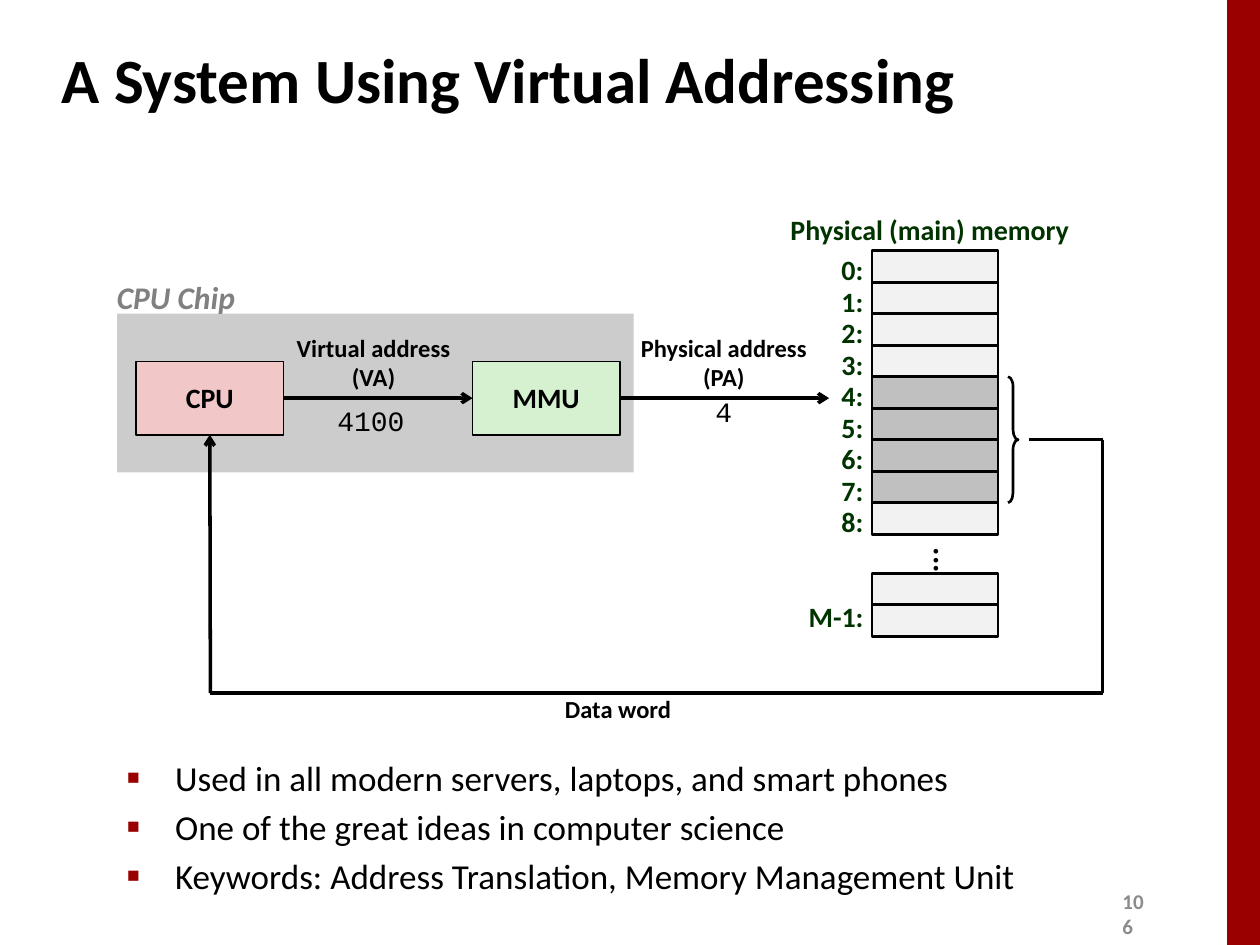
from dataclasses import dataclass

from lxml import etree
from pptx import Presentation
from pptx.dml.color import RGBColor
from pptx.enum.shapes import MSO_CONNECTOR, MSO_SHAPE
from pptx.enum.text import MSO_ANCHOR, MSO_AUTO_SIZE, PP_ALIGN
from pptx.oxml.ns import qn
from pptx.util import Inches, Pt

STRAIGHT = MSO_CONNECTOR.STRAIGHT
RECTANGLE, BRACE = MSO_SHAPE.RECTANGLE, MSO_SHAPE.RIGHT_BRACE
LEFT, CENTER = PP_ALIGN.LEFT, PP_ALIGN.CENTER
TOP, MIDDLE = MSO_ANCHOR.TOP, MSO_ANCHOR.MIDDLE
FIXED, GROW = MSO_AUTO_SIZE.NONE, MSO_AUTO_SIZE.SHAPE_TO_FIT_TEXT
SIDE_LEFT, SIDE_BOTTOM, SIDE_RIGHT = 1, 2, 3


@dataclass(frozen=True)
class Theme:
    font: str = "Calibri"
    code_font: str = "Courier New"
    ink: str = "000000"
    accent: str = "990000"
    memory_label: str = "003300"
    chip: str = "CCCCCC"
    chip_label: str = "808080"
    cpu: str = "F1C7C7"
    mmu: str = "D5F1CF"
    free_cell: str = "F2F2F2"
    word_cell: str = "C0C0C0"
    page: str = "8C8C8C"
    title_size: int = 36
    body_size: int = 20
    heading_size: int = 18
    label_size: int = 16
    note_size: int = 14
    page_size: int = 12


THEME = Theme()

CELL_LEFT, CELL_TOP, CELL_WIDTH, CELL_HEIGHT = 6.92, 1.99, 1, 0.25
LAST_CELLS_TOP = 4.55
WORD_CELLS = range(4, 8)


def rgb(value):
    return RGBColor.from_string(value)


def write_text(holder, text, size=THEME.label_size, color=THEME.ink, font=THEME.font,
               bold=True, italic=False, align=LEFT, anchor=TOP, wrap=False,
               auto_size=FIXED, line_spacing=None, bullet=False):
    frame = holder.text_frame
    frame.text = text
    frame.word_wrap = wrap
    frame.auto_size = auto_size
    frame.vertical_anchor = anchor
    for index, paragraph in enumerate(frame.paragraphs):
        if bullet:
            add_bullet(paragraph)
            paragraph.space_before = Pt(size * 0.2 if index else 0)
        paragraph.alignment = align
        if line_spacing:
            paragraph.line_spacing = line_spacing
        for run in paragraph.runs:
            run.font.size = Pt(size)
            run.font.name = font
            run.font.bold = bold
            run.font.italic = italic
            run.font.color.rgb = rgb(color)


def add_bullet(paragraph):
    properties = paragraph._p.get_or_add_pPr()
    properties.set("marL", str(Inches(0.38)))
    properties.set("indent", str(-Inches(0.38)))
    bullet_color = etree.SubElement(properties, qn("a:buClr"))
    etree.SubElement(bullet_color, qn("a:srgbClr"), val=THEME.accent)
    etree.SubElement(properties, qn("a:buSzPct"), val="60000")
    etree.SubElement(properties, qn("a:buChar"), char="■")


def add_label(slide, text, left, top, width, height, auto_size=GROW, **text_format):
    label = slide.shapes.add_textbox(*map(Inches, (left, top, width, height)))
    write_text(label, text, auto_size=auto_size, **text_format)
    return label


def add_block(slide, left, top, width, height, fill=None, line_width=None, kind=RECTANGLE):
    block = slide.shapes.add_shape(kind, *map(Inches, (left, top, width, height)))
    block.shadow.inherit = False
    if fill:
        block.fill.solid()
        block.fill.fore_color.rgb = rgb(fill)
    else:
        block.fill.background()
    if line_width:
        block.line.width = Pt(line_width)
        block.line.color.rgb = rgb(THEME.ink)
    else:
        block.line.fill.background()
    return block


def add_unit(slide, name, left, fill):
    unit = add_block(slide, left, 2.87, 1.17, 0.58, fill, 1)
    write_text(unit, name, align=CENTER, anchor=MIDDLE, line_spacing=0.98)
    return unit


def add_wire(slide, start, end, arrow=False):
    wire = slide.shapes.add_connector(STRAIGHT, *map(Inches, (*start, *end)))
    wire.line.width = Pt(2)
    wire.line.color.rgb = rgb(THEME.ink)
    if arrow:
        etree.SubElement(wire.line._get_or_add_ln(), qn("a:tailEnd"), type="arrow")
    etree.SubElement(wire._element.spPr, qn("a:effectLst"))
    return wire


def fill_placeholder(placeholder, text, left, top, width, height, **text_format):
    placeholder.left, placeholder.top = Inches(left), Inches(top)
    placeholder.width, placeholder.height = Inches(width), Inches(height)
    write_text(placeholder, text, wrap=True, **text_format)


def add_memory(slide):
    label_format = dict(color=THEME.memory_label, line_spacing=0.88)
    add_label(slide, "Physical (main) memory", 6.16, 1.67, 2.44, 0.33,
              align=CENTER, **label_format)
    for address in range(9):
        top = CELL_TOP + address * CELL_HEIGHT
        fill = THEME.word_cell if address in WORD_CELLS else THEME.free_cell
        add_block(slide, CELL_LEFT, top, CELL_WIDTH, CELL_HEIGHT, fill, 1.5)
        add_label(slide, f"{address}:", 6.58, top, 0.37, 0.33, **label_format)
    for row in range(2):
        add_block(slide, CELL_LEFT, LAST_CELLS_TOP + row * CELL_HEIGHT,
                  CELL_WIDTH, CELL_HEIGHT, THEME.free_cell, 1.5)
    add_label(slide, "M-1:", 6.32, 4.74, 0.64, 0.33, **label_format)

    gap = add_label(slide, "...", 7, 4.25, 1, 0.25, auto_size=FIXED,
                    size=THEME.heading_size, align=CENTER, anchor=MIDDLE,
                    line_spacing=0.98)
    gap.text_frame._txBody.bodyPr.set("vert", "eaVert")

    brace = add_block(slide, 8, CELL_TOP + WORD_CELLS[0] * CELL_HEIGHT, 0.08,
                      len(WORD_CELLS) * CELL_HEIGHT, line_width=1.5, kind=BRACE)
    brace.adjustments[0] = 1
    brace.adjustments[1] = 0.5


def add_processor(slide):
    add_block(slide, 0.93, 2.49, 4.1, 1.26, THEME.chip)
    add_label(slide, "CPU Chip", 0.83, 2.16, 1.16, 0.4, size=THEME.heading_size,
              color=THEME.chip_label, italic=True)
    cpu = add_unit(slide, "CPU", 1.08, THEME.cpu)
    mmu = add_unit(slide, "MMU", 3.75, THEME.mmu)
    return cpu, mmu


def add_data_flow(slide, cpu, mmu):
    virtual = add_wire(slide, (2.25, 3.16), (3.75, 3.16), arrow=True)
    virtual.begin_connect(cpu, SIDE_RIGHT)
    virtual.end_connect(mmu, SIDE_LEFT)
    physical = add_wire(slide, (4.92, 3.16), (6.58, 3.16), arrow=True)
    physical.begin_connect(mmu, SIDE_RIGHT)

    corners = [(8.17, 3.49), (8.75, 3.49), (8.75, 5.5), (1.67, 5.5)]
    for start, end in zip(corners, corners[1:]):
        add_wire(slide, start, end)
    data_return = add_wire(slide, corners[-1], (1.67, 3.45), arrow=True)
    data_return.end_connect(cpu, SIDE_BOTTOM)

    for text, *box in (
        ("Virtual address\n(VA)", 2.25, 2.6, 1.43, 0.57),
        ("Physical address\n(PA)", 4.98, 2.6, 1.53, 0.57),
        ("Data word", 4.38, 5.47, 1.05, 0.33),
    ):
        add_label(slide, text, *box, size=THEME.note_size, align=CENTER,
                  anchor=MIDDLE, line_spacing=0.98)
    for address, *box in (("4100", 2.58, 3.15, 0.74, 0.37), ("4", 5.58, 3.08, 0.34, 0.37)):
        add_label(slide, address, *box, font=THEME.code_font, bold=False)


def main():
    deck = Presentation()
    deck.slide_width, deck.slide_height = Inches(10), Inches(7.5)
    slide = deck.slides.add_slide(deck.slide_layouts[1])

    add_block(slide, 9.74, 0, 0.26, 7.5, THEME.accent)
    add_label(slide, "106", 8.81, 7.1, 0.4, 0.3, auto_size=FIXED, wrap=True,
              size=THEME.page_size, color=THEME.page, anchor=MIDDLE)
    fill_placeholder(slide.shapes.title, "A System Using Virtual Addressing",
                     0.39, 0.21, 8.3, 0.83, size=THEME.title_size, anchor=MIDDLE)
    key_points = "\n".join((
        "Used in all modern servers, laptops, and smart phones",
        "One of the great ideas in computer science",
        "Keywords: Address Translation, Memory Management Unit",
    ))
    fill_placeholder(slide.placeholders[1], key_points, 0.91, 5.95, 9.09, 1.38,
                     size=THEME.body_size, bold=False, bullet=True)

    add_memory(slide)
    cpu, mmu = add_processor(slide)
    add_data_flow(slide, cpu, mmu)
    deck.save("out.pptx")


if __name__ == "__main__":
    main()
